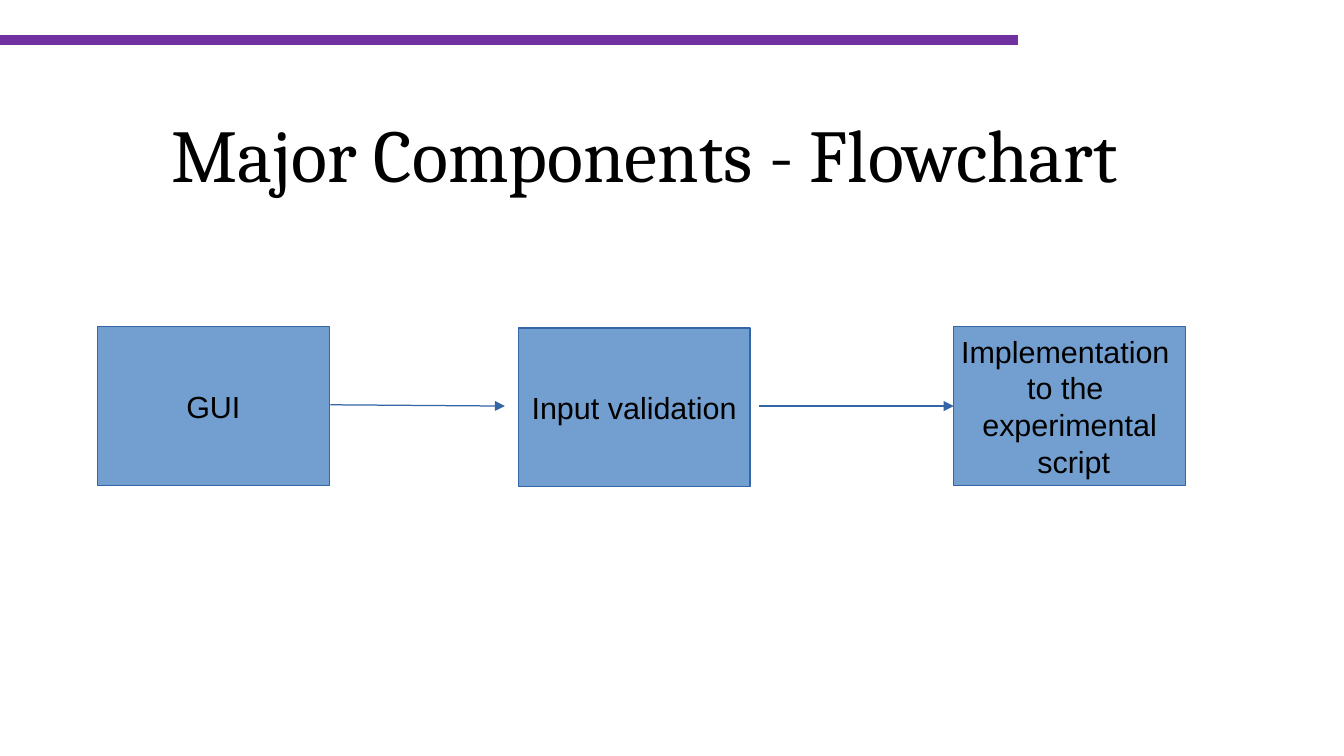
from dataclasses import dataclass

from lxml.etree import SubElement
from pptx import Presentation
from pptx.dml.color import RGBColor
from pptx.enum.shapes import MSO_CONNECTOR as Connector, MSO_SHAPE as Preset
from pptx.enum.text import MSO_ANCHOR as Anchor, PP_ALIGN as Align
from pptx.oxml.ns import qn
from pptx.shapes.autoshape import Shape
from pptx.slide import Slide
from pptx.util import Inches, Pt

COLORS = {"bar": "7030A0", "fill": "729FCF", "outline": "3465A4", "text": "000000"}
STEP_WIDTH, STEP_HEIGHT = 1.9, 1.3


@dataclass(frozen=True)
class Step:
    """A box of the flowchart."""
    left: float
    top: float
    text: str


@dataclass(frozen=True)
class Line:
    """A straight line between two points."""
    start: tuple[float, float]
    end: tuple[float, float]
    color: str = "outline"
    width: float = 0.75
    arrow: bool = True


STEPS = [
    Step(0.8, 2.68, "GUI"),
    Step(4.25, 2.69, "Input validation"),
    Step(7.82, 2.68, "Implementation \nto the \nexperimental\n script"),
]
LINES = [
    Line((8.35, 0.33), (0, 0.33), "bar", 6, arrow=False),
    Line((2.71, 3.32), (4.14, 3.33)),
    Line((6.22, 3.33), (7.82, 3.33)),
]


def color(name: str) -> RGBColor:
    """Look up a named colour."""
    return RGBColor.from_string(COLORS[name])


def write_text(shape: Shape, text: str, *, font: str, size: float, align: Align,
               wrap: bool, spacing: float = 1.0) -> None:
    """Fill a shape with formatted text, one paragraph per line."""
    frame = shape.text_frame
    frame.word_wrap = wrap
    frame.vertical_anchor = Anchor.MIDDLE
    frame.text = text
    for para in frame.paragraphs:
        para.alignment = align
        para.line_spacing = spacing
        for span in para.runs:
            span.font.name = font
            span.font.size = Pt(size)
            span.font.color.rgb = color("text")


def draw_title(page: Slide, text: str) -> None:
    """Add the slide title."""
    box = page.shapes.add_textbox(Inches(1.31), Inches(0.7), Inches(9.51), Inches(1.2))
    write_text(box, text, font="Cambria", size=44, align=Align.LEFT, wrap=True, spacing=0.9)


def draw_step(page: Slide, step: Step) -> None:
    """Add one flowchart box."""
    box = page.shapes.add_shape(Preset.RECTANGLE, Inches(step.left), Inches(step.top),
                                Inches(STEP_WIDTH), Inches(STEP_HEIGHT))
    box.shadow.inherit = False
    box.fill.solid()
    box.fill.fore_color.rgb = color("fill")
    box.line.color.rgb = color("outline")
    box.line.width = Pt(0.75)
    write_text(box, step.text, font="Arial", size=18, align=Align.CENTER, wrap=False)


def draw_line(page: Slide, line: Line) -> None:
    """Add one line, with an arrowhead at its end if asked."""
    points = [Inches(value) for value in (*line.start, *line.end)]
    connector = page.shapes.add_connector(Connector.STRAIGHT, *points)
    connector.line.color.rgb = color(line.color)
    connector.line.width = Pt(line.width)
    if line.arrow:
        SubElement(connector.line._get_or_add_ln(), qn("a:tailEnd"), type="triangle")
    SubElement(connector._element.spPr, qn("a:effectLst"))


def main() -> None:
    """Build the flowchart slide and save it."""
    deck = Presentation()
    deck.slide_width, deck.slide_height = Inches(11.02), Inches(6.2)
    page = deck.slides.add_slide(deck.slide_layouts[6])
    draw_title(page, "Major Components - Flowchart")
    for step in STEPS:
        draw_step(page, step)
    for line in LINES:
        draw_line(page, line)
    deck.save("out.pptx")


if __name__ == "__main__":
    main()
